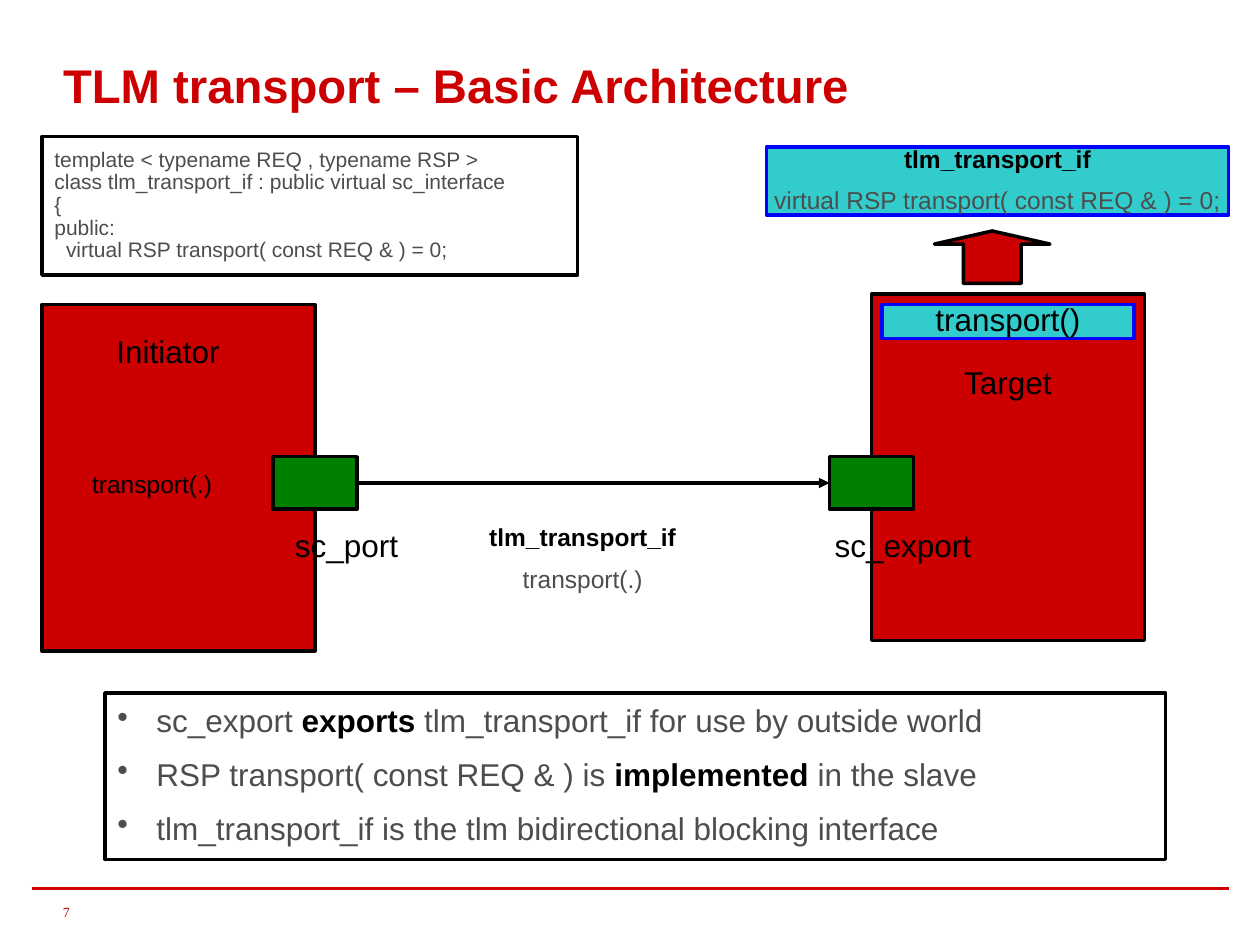
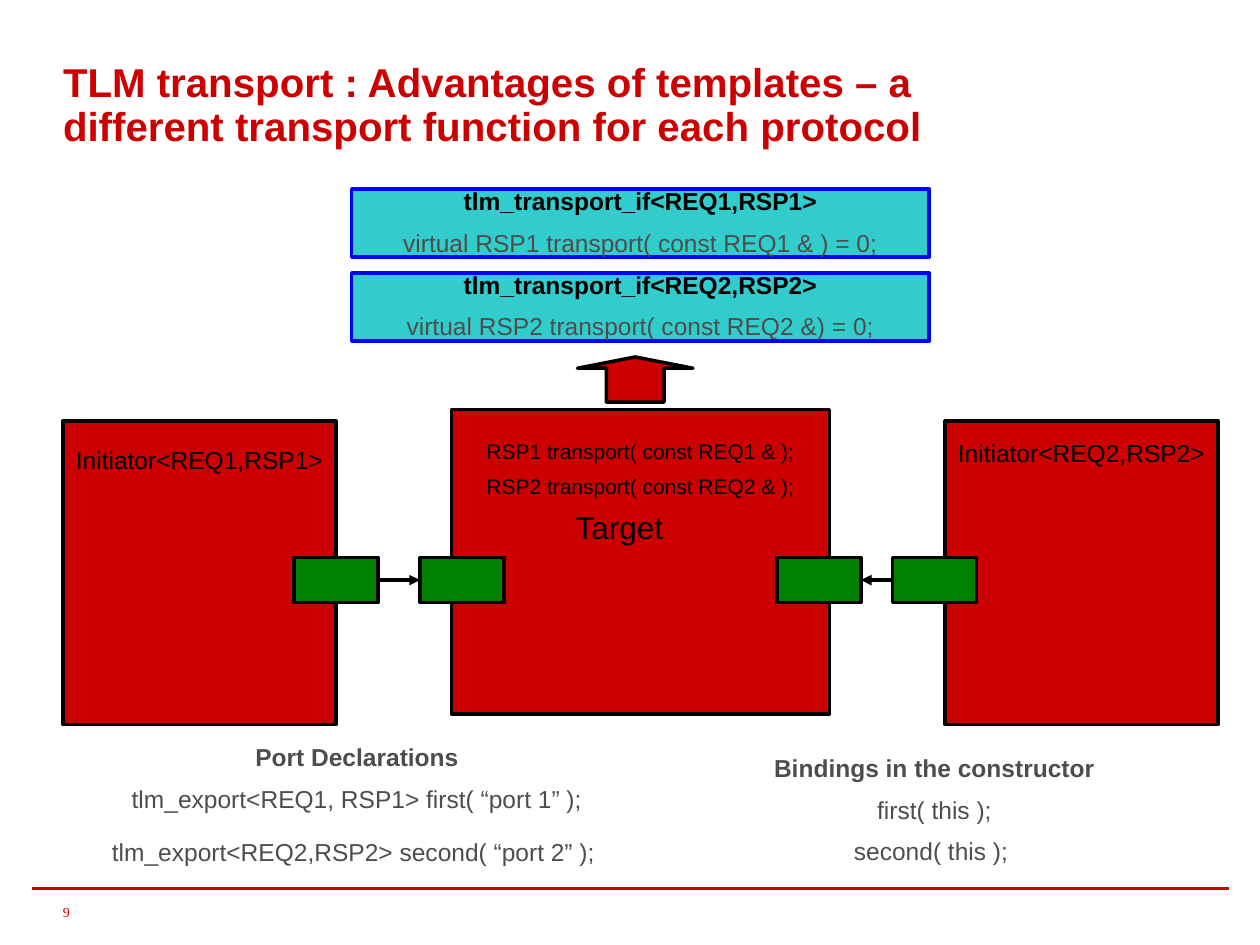
from dataclasses import dataclass
from typing import NamedTuple, Optional

from pptx import Presentation
from pptx import util as u
from pptx.dml.color import RGBColor
from pptx.enum import shapes, text
from pptx.oxml import ns, xmlchemy

RED = RGBColor(0xCC, 0x00, 0x00)
GREEN = RGBColor(0x00, 0x80, 0x00)
TEAL = RGBColor(0x33, 0xCC, 0xCC)
BLUE = RGBColor(0x00, 0x00, 0xFF)
BLACK = RGBColor(0x00, 0x00, 0x00)
GREY = RGBColor(0x4D, 0x4D, 0x4D)

COLUMNS, ROWS = 120, 90  # the grid on a 10 x 7.5 inch slide
WIDTH, HEIGHT = u.Inches(10), u.Inches(7.5)
SPACING_SHARE = 0.625  # space between paragraphs, as a share of the text size
PORT_COLS = 8
RECT = shapes.MSO_SHAPE.RECTANGLE
CENTER, LEFT = text.PP_ALIGN.CENTER, text.PP_ALIGN.LEFT


class Area(NamedTuple):
    col: float
    row: float
    cols: float
    rows: float

    def emu(self) -> tuple:
        return (x(self.col), y(self.row), x(self.cols), y(self.rows))


class Part(NamedTuple):
    words: str
    color: RGBColor = GREY
    bold: bool = False


@dataclass
class Copy:
    """Paragraphs, each a list of parts, in one size and alignment."""
    paragraphs: list
    size: float = 14
    align: int = CENTER
    inset: float = 0
    spaced: bool = True
    bulleted: bool = False
    font: str = "Arial"
    line_spacing: float = 0.9
    anchor: int = text.MSO_ANCHOR.TOP


@dataclass
class Block:
    area: Area
    fill: Optional[RGBColor] = RED
    line: RGBColor = BLACK
    copy: Optional[Copy] = None
    preset: int = RECT


def x(cols: float) -> int:
    return round(WIDTH * cols / COLUMNS)


def y(rows: float) -> int:
    return round(HEIGHT * rows / ROWS)


# ---- drawing ----
def add_bullet(paragraph) -> None:
    props = paragraph._p.get_or_add_pPr()
    indent = u.Inches(0.31)
    props.set("marL", str(indent))
    props.set("indent", str(-indent))
    bullet = xmlchemy.OxmlElement("a:buChar")
    bullet.set("char", "•")
    props.append(bullet)


def write(frame, copy: Copy) -> None:
    frame.word_wrap = True
    frame.vertical_anchor = copy.anchor
    frame.margin_left = frame.margin_right = u.Inches(copy.inset)
    frame.margin_top = frame.margin_bottom = u.Inches(copy.inset)
    for index, parts in enumerate(copy.paragraphs):
        paragraph = frame.add_paragraph() if index else frame.paragraphs[0]
        paragraph.alignment = copy.align
        paragraph.line_spacing = copy.line_spacing
        if index and copy.spaced:
            paragraph.space_before = u.Pt(round(copy.size * SPACING_SHARE, 1))
        if copy.bulleted:
            add_bullet(paragraph)
        paragraph.text = parts[0].words
        for part in parts[1:]:
            paragraph.add_run().text = part.words
        for run, part in zip(paragraph.runs, parts):
            run.font.name, run.font.size = copy.font, u.Pt(copy.size)
            run.font.bold = part.bold
            run.font.color.rgb = part.color


def draw_text(slide, area: Area, copy: Copy):
    label = slide.shapes.add_textbox(*area.emu())
    write(label.text_frame, copy)
    return label


def draw_block(slide, block: Block):
    shape = slide.shapes.add_shape(block.preset, *block.area.emu())
    shape.shadow.inherit = False
    if block.fill is None:
        shape.fill.background()
    else:
        shape.fill.solid()
        shape.fill.fore_color.rgb = block.fill
    shape.line.color.rgb = block.line
    shape.line.width = u.Pt(2)
    if block.copy:
        write(shape.text_frame, block.copy)
    return shape


def draw_line(slide, ends: tuple, color: RGBColor, points: float):
    line = slide.shapes.add_connector(shapes.MSO_CONNECTOR.STRAIGHT, *ends)
    line.line.color.rgb = color
    line.line.width = u.Pt(points)
    line._element.spPr.append(xmlchemy.OxmlElement("a:effectLst"))
    return line


def draw_binding(slide, port, port_side: int, export, export_side: int) -> None:
    """Arrow from an initiator's port to the target's export."""
    arrow = draw_line(slide, (0, 0, 0, 0), BLACK, 2)
    arrow.begin_connect(port, port_side)
    arrow.end_connect(export, export_side)
    head = xmlchemy.OxmlElement("a:tailEnd")
    head.set("type", "triangle")
    arrow._element.spPr.find(ns.qn("a:ln")).append(head)


def draw_port(slide, col: float, row: float, rows: float):
    return draw_block(slide, Block(Area(col, row, PORT_COLS, rows), GREEN))


def draw_up_arrow(slide, col: float, row: float, rows: float) -> None:
    arrow = draw_block(slide, Block(Area(col, row, 11, rows),
                                    preset=shapes.MSO_SHAPE.UP_ARROW))
    arrow.adjustments[1] = 0.25


def plain(words: str, size: float = 14) -> Copy:
    return Copy([[Part(line, BLACK)] for line in words.split("\n")], size)


def interface(name: str, function: str) -> Copy:
    return Copy([[Part(name, BLACK, True)], [Part(function)]])


def declarations(heading: str, *lines: str) -> Copy:
    return Copy([[Part(heading, GREY, True)]] + [[Part(line)] for line in lines])


def start_slide(deck, title: str, title_size: float, number: int):
    """Blank slide with the shared title, footer rule and number."""
    slide = deck.slides.add_slide(deck.slide_layouts[6])
    draw_line(slide, (x(3), y(84.6), x(117), y(84.6)), RED, 1.5)
    draw_text(slide, Area(6, 6, 88, 13),
              Copy([[Part(title, RED, True)]], title_size, LEFT))
    draw_text(slide, Area(6, 84.6, 48, 4.4),
              Copy([[Part(str(number), RED)]], 8, LEFT, font="Times New Roman",
                   line_spacing=1.0, anchor=text.MSO_ANCHOR.MIDDLE))
    return slide


# ---- slide: basic architecture ----
CODE = """template < typename REQ , typename RSP >
class tlm_transport_if : public virtual sc_interface
{
public:
  virtual RSP transport( const REQ & ) = 0;"""

REMARKS = [
    [Part("sc_export "), Part("exports", BLACK, True),
     Part(" tlm_transport_if for use by outside world")],
    [Part("RSP transport( const REQ & ) is "), Part("implemented", BLACK, True),
     Part(" in the slave")],
    [Part("tlm_transport_if is the tlm bidirectional blocking interface")],
]


def build_architecture(deck) -> None:
    slide = start_slide(deck, "TLM transport – Basic Architecture", 27, 7)

    # Initiator and target with their port and export
    for col, row in ((4, 29), (83, 28)):
        draw_block(slide, Block(Area(col, row, 26, 33)))
    port, export = (draw_port(slide, col, 43.5, 5) for col in (26, 79))
    draw_binding(slide, port, 3, export, 1)
    for area, words, size in (
        (Area(7, 32, 18, 3.25), "Initiator", 18),
        (Area(87, 35, 18, 3.25), "Target", 18),
        (Area(22, 50.5, 22, 3.25), "sc_port", 18),
        (Area(75, 50.5, 22, 3.25), "sc_export", 18),
        (Area(2, 45, 25, 2.5), "transport(.)", 14),
    ):
        draw_text(slide, area, plain(words, size))
    draw_text(slide, Area(40, 50, 31, 14.5),
              interface("tlm_transport_if", "transport(.)"))

    # Interface implemented by the target
    draw_block(slide, Block(Area(84, 29, 24, 3.25), TEAL, BLUE,
                            plain("transport()", 18)))
    draw_block(slide, Block(Area(73, 14, 44, 6.5), TEAL, BLUE, interface(
        "tlm_transport_if", "virtual RSP transport( const REQ & ) = 0;")))
    draw_up_arrow(slide, 89, 22, 5)

    # Code and remarks
    code = Copy([[Part(line)] for line in CODE.split("\n")], 12, LEFT, 0.1,
                spaced=False)
    draw_block(slide, Block(Area(4, 13, 51, 13.2), None, copy=code))
    remarks = Copy(REMARKS, 18, LEFT, 0.1, bulleted=True)
    draw_block(slide, Block(Area(10, 66, 101, 15.85), None, copy=remarks))


# ---- slide: advantages of templates ----
def build_templates(deck) -> None:
    slide = start_slide(deck, "TLM transport : Advantages of templates – a "
                        "different transport function for each protocol", 23, 9)

    # One interface per protocol
    for row, name, function in (
        (18, "tlm_transport_if<REQ1,RSP1>",
         "virtual RSP1 transport( const REQ1 & ) = 0;"),
        (26, "tlm_transport_if<REQ2,RSP2>",
         "virtual RSP2 transport( const REQ2 &) = 0;"),
    ):
        draw_block(slide, Block(Area(33.5, row, 55, 6.5), TEAL, BLUE,
                                interface(name, function)))
    draw_up_arrow(slide, 55, 34, 4.3)

    # Target between two initiators
    draw_block(slide, Block(Area(43, 39, 36, 29)))
    draw_text(slide, Area(50, 48.8, 18, 3.25), plain("Target", 18))
    draw_text(slide, Area(44, 42, 34, 5.5), plain(
        "RSP1 transport( const REQ1 & );\nRSP2 transport( const REQ2 & );", 12))
    for col, label_row, words, port_col, port_side, export_col, export_side in (
        (6, 42.7, "Initiator<REQ1,RSP1>", 28, 3, 40, 1),
        (90, 42, "Initiator<REQ2,RSP2>", 85, 1, 74, 3),
    ):
        draw_block(slide, Block(Area(col, 40.1, 26, 28.9)))
        draw_text(slide, Area(col + 1, label_row, 24, 2.5), plain(words))
        port = draw_port(slide, port_col, 53.1, 4.3)
        export = draw_port(slide, export_col, 53.1, 4.3)
        draw_binding(slide, port, port_side, export, export_side)

    # Declarations and bindings
    ports = draw_text(slide, Area(6, 71, 56, 11.6), declarations(
        "Port Declarations", "tlm_export<REQ1, RSP1> first( “port 1” );",
        "tlm_export<REQ2,RSP2> second( “port 2” ); "))
    ports.text_frame.paragraphs[-1].space_before = u.Pt(15)
    draw_text(slide, Area(62, 72, 54, 10.4), declarations(
        "Bindings in the constructor", "first( this );", "second( this ); "))


def main() -> None:
    deck = Presentation()
    deck.slide_width, deck.slide_height = WIDTH, HEIGHT
    build_architecture(deck)
    build_templates(deck)
    deck.save("out.pptx")


if __name__ == "__main__":
    main()
